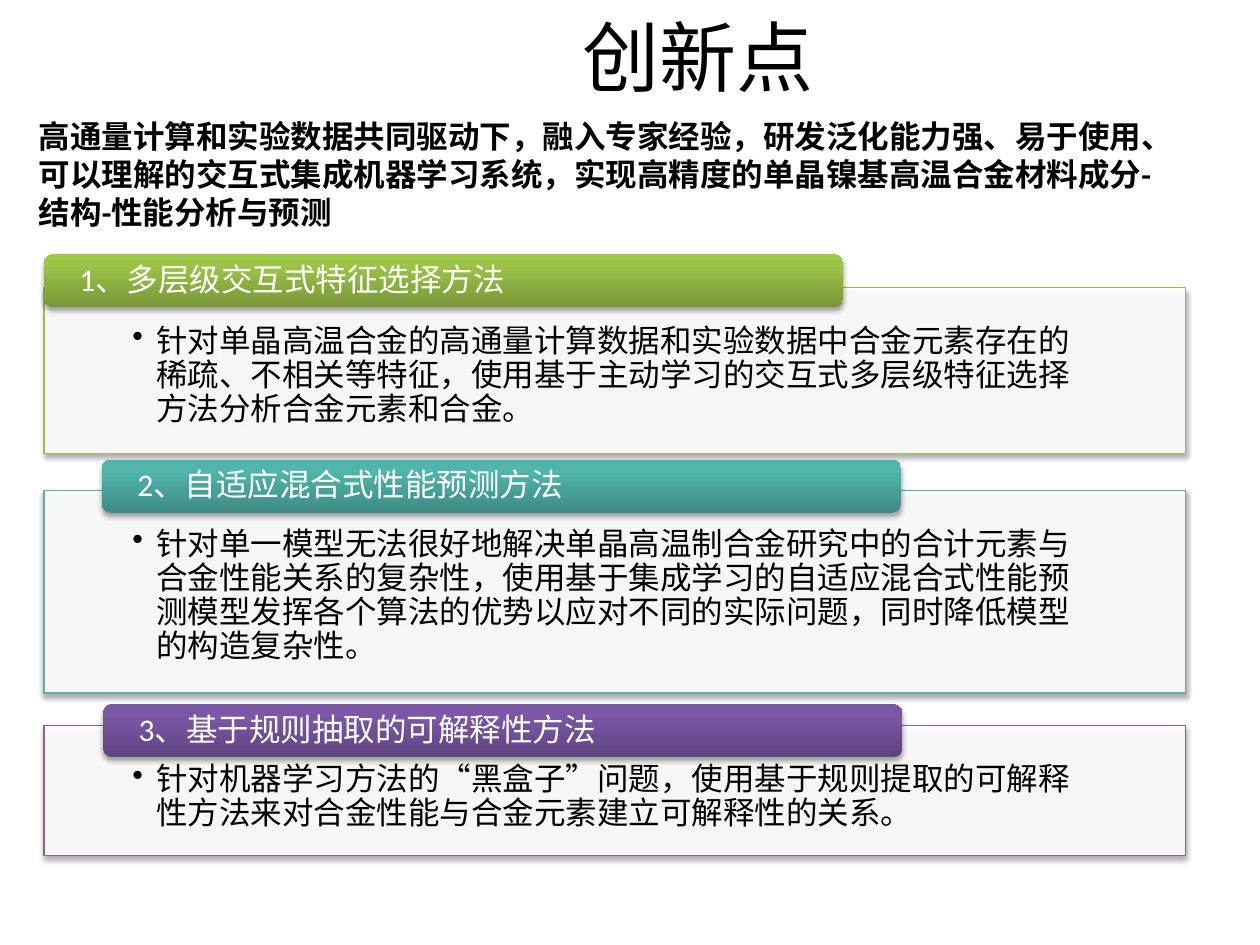
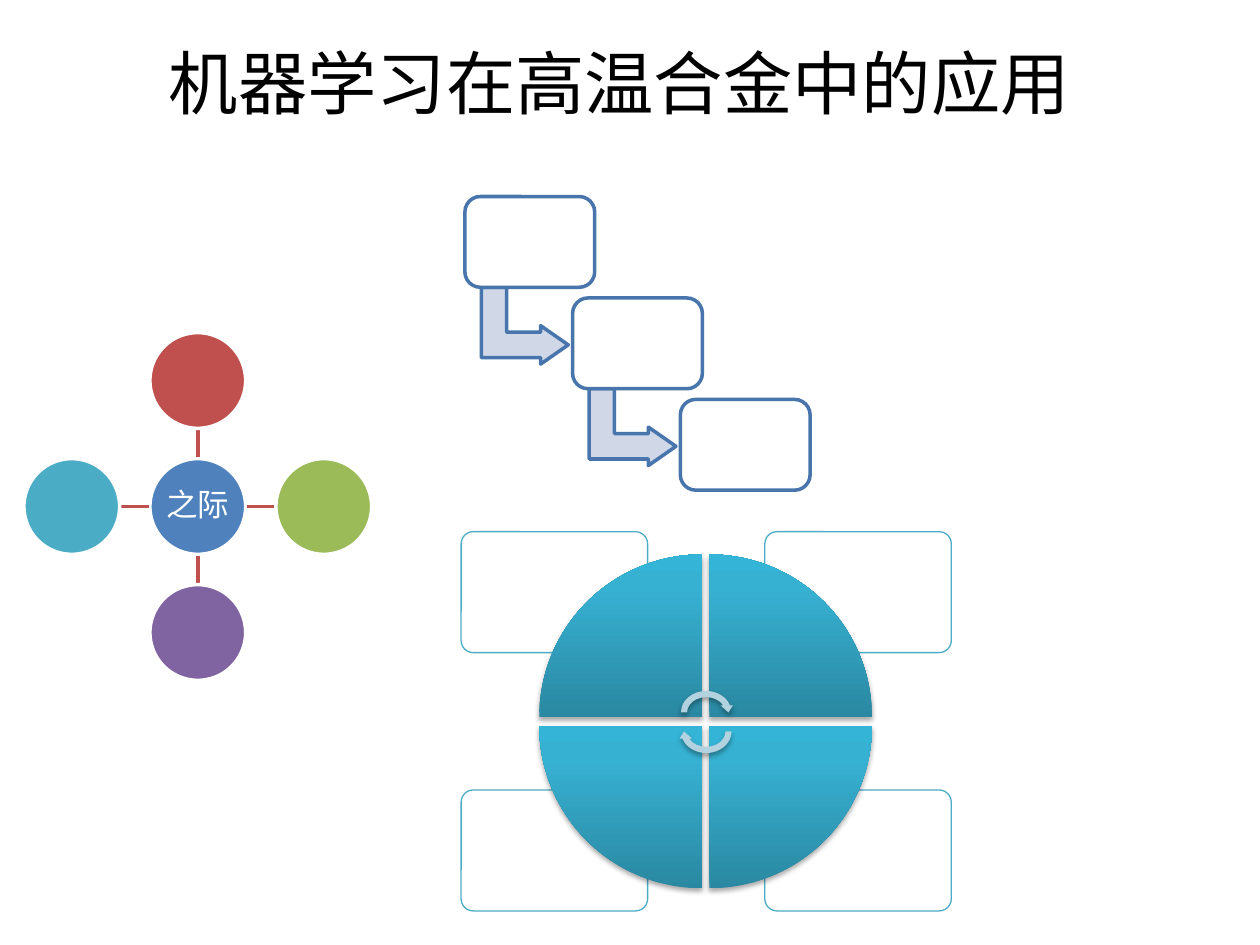
import pptx
import pptx.dml.color
import pptx.enum.shapes
import pptx.enum.text
import pptx.oxml.ns
import pptx.util
from lxml import etree

Inches = pptx.util.Inches
Pt = pptx.util.Pt
qn = pptx.oxml.ns.qn
SHAPE = pptx.enum.shapes.MSO_SHAPE
ALIGN = pptx.enum.text.PP_ALIGN
ANCHOR = pptx.enum.text.MSO_ANCHOR

# Shared look
FONT = "Calibri"
BLACK, WHITE = "000000", "FFFFFF"
BLUE, RED, GREEN, PURPLE, TEAL = "4F81BD", "C0504D", "9BBB59", "8064A2", "4BACC6"
STEP_EDGE, STEP_FILL, CYCLE_ARROW = "4875AC", "D0D8E8", "B2D2DF"
WEDGE_SHADES = ("2A88A2", "37B1D2", "34B4D6")
GRADIENT_STOPS = (0, 80, 100)
BODY_SIZE = 18

SUMMARY = ("高通量计算和实验数据共同驱动下，融入专家经验，研发泛化能力强、易于使用、"
           "可以理解的交互式集成机器学习系统，实现高精度的单晶镍基高温合金材料成分-结构-性能分析与预测")

# heading, heading left and top, panel top and height, edge, gradient, body
INNOVATIONS = [
    ("1、多层级交互式特征选择方法", 0.35, 2.02, 2.28, 1.32, GREEN,
     ("779737", "9BC348", "9DC746"),
     "针对单晶高温合金的高通量计算数据和实验数据中合金元素存在的稀疏、不相关等特征，"
     "使用基于主动学习的交互式多层级特征选择方法分析合金元素和合金。"),
    ("2、自适应混合式性能预测方法", 0.81, 3.65, 3.89, 1.61, "5EAFA6",
     ("3D8B83", "50B5AA", "4EB8AC"),
     "针对单一模型无法很好地解决单晶高温制合金研究中的合计元素与合金性能关系的复杂性，"
     "使用基于集成学习的自适应混合式性能预测模型发挥各个算法的优势以应对不同的实际问题，"
     "同时降低模型的构造复杂性。"),
    ("3、基于规则抽取的可解释性方法", 0.82, 5.59, 5.76, 1.03, PURPLE,
     ("5F4480", "7B58A6", "7C57A8"),
     "针对机器学习方法的“黑盒子”问题，使用基于规则提取的可解释性方法来对合金性能与"
     "合金元素建立可解释性的关系。"),
]


# Formatting helpers
def color(hex_code):
    return pptx.dml.color.RGBColor.from_string(hex_code)


def apply(target, values):
    for name, value in values.items():
        setattr(target, name, value)


def add_xml(parent, tag, **attributes):
    return etree.SubElement(parent, qn(tag), attributes)


def add_color_xml(parent, hex_code):
    return add_xml(parent, "a:srgbClr", val=hex_code)


def fill_gradient(shape, shades):
    shape.fill.gradient()
    shape.fill.gradient_angle = 90
    gradient = shape._element.spPr.find(qn("a:gradFill"))
    gradient.set("rotWithShape", "0")
    stops = gradient.find(qn("a:gsLst"))
    for stop in list(stops):
        stops.remove(stop)
    for position, shade in zip(GRADIENT_STOPS, shades):
        add_color_xml(add_xml(stops, "a:gs", pos=str(position * 1000)), shade)


def add_shadow(shape):
    effects = shape._element.spPr.find(qn("a:effectLst"))
    shadow = add_xml(effects, "a:outerShdw", blurRad=str(Pt(3.1)), dist=str(Pt(1.8)),
                     dir="5400000", rotWithShape="0")
    add_xml(add_color_xml(shadow, BLACK), "a:alpha", val="35000")


def write(shape, text, ink, size=BODY_SIZE, bold=False, align=ALIGN.LEFT,
          anchor=ANCHOR.MIDDLE, insets=(0.1, 0.05, 0.1, 0.05), spacing=None, bullet=False):
    frame = shape.text_frame
    left, top, right, bottom = map(Inches, insets)
    apply(frame, {"word_wrap": True, "vertical_anchor": anchor,
                  "margin_left": left, "margin_top": top,
                  "margin_right": right, "margin_bottom": bottom})
    para = frame.paragraphs[0]
    if bullet:
        properties = para._p.get_or_add_pPr()
        properties.set("marL", str(Inches(0.19)))
        properties.set("indent", str(-Inches(0.19)))
        add_xml(properties, "a:buChar", char="•")
    apply(para, {"alignment": align, "line_spacing": spacing})
    span = para.add_run()
    span.text = text
    apply(span.font, {"name": FONT, "size": Pt(size), "bold": bold})
    span.font.color.rgb = color(ink)


# Element builders
def add_text(page, at, text, **style):
    box = page.shapes.add_textbox(*map(Inches, at))
    write(box, text, BLACK, **style)
    return box


def add_title(page, at, text, size):
    add_text(page, at, text, size=size, align=ALIGN.CENTER)


def add_figure(page, kind, at, fill=None, shades=None, alpha=None, edge=None, width=0.75,
               shadow=False, rotation=0, adjustments=()):
    shape = page.shapes.add_shape(kind, *map(Inches, at))
    shape.shadow.inherit = False
    shape.rotation = rotation
    for index, value in enumerate(adjustments):
        shape.adjustments[index] = value
    if shades:
        fill_gradient(shape, shades)
    else:
        shape.fill.solid()
        shape.fill.fore_color.rgb = color(fill)
    if alpha:
        solid = shape._element.spPr.find(qn("a:solidFill"))
        add_xml(solid[0], "a:alpha", val=str(alpha * 1000))
    if edge:
        shape.line.color.rgb = color(edge)
        shape.line.width = Pt(width)
    else:
        shape.line.fill.background()
    if shadow:
        add_shadow(shape)
    return shape


def add_line(page, start, end, ink, width):
    line = page.shapes.add_connector(pptx.enum.shapes.MSO_CONNECTOR.STRAIGHT,
                                     *map(Inches, (*start, *end)))
    line.line.color.rgb = color(ink)
    line.line.width = Pt(width)
    add_xml(line._element.spPr, "a:effectLst")


def add_innovation(page, heading, left, top, panel_top, height, edge, shades, body):
    panel = add_figure(page, SHAPE.RECTANGLE, (0.35, panel_top, 9.06, height),
                       fill=WHITE, alpha=90, edge=edge, shadow=True)
    write(panel, body, BLACK, anchor=ANCHOR.TOP, insets=(0.7, 0.3, 0.7, 0.14),
          spacing=0.9, bullet=True)
    label = add_figure(page, SHAPE.ROUNDED_RECTANGLE, (left, top, 6.34, 0.42),
                       shades=shades, shadow=True)
    write(label, heading, WHITE, insets=(0.26, 0.02, 0.26, 0.02), spacing=0.9)


# Diagrams
def add_radial(page, center_x, center_y, hub_text):
    size, reach = 0.76, 1.0

    def add_circle(x, y, fill):
        return add_figure(page, SHAPE.OVAL, (x - size / 2, y - size / 2, size, size),
                          fill=fill, edge=WHITE, width=2)

    hub = add_circle(center_x, center_y, BLUE)
    write(hub, hub_text, WHITE, align=ALIGN.CENTER, insets=(0.01,) * 4, spacing=0.9)
    directions = [(0, -1, RED), (1, 0, GREEN), (0, 1, PURPLE), (-1, 0, TEAL)]
    for dx, dy, fill in directions:
        start, end = [(center_x + dx * radius, center_y + dy * radius)
                      for radius in (size / 2 + 0.01, reach - size / 2)]
        add_line(page, start, end, RED, 2)
        add_circle(center_x + dx * reach, center_y + dy * reach, fill)


def add_staircase(page, left, top, steps=3):
    for step in range(steps):
        x, y = left + 1.71 * step / 2, top + 1.61 * step / 2
        if step < steps - 1:
            add_figure(page, SHAPE.BENT_UP_ARROW, (x + 0.17, y + 0.68, 0.61, 0.69),
                       fill=STEP_FILL, edge=STEP_EDGE, width=2, rotation=90,
                       adjustments=(0.33, 0.25, 0.36))
        add_figure(page, SHAPE.ROUNDED_RECTANGLE, (x, y, 1.03, 0.72), fill=WHITE,
                   edge=STEP_EDGE, width=2, adjustments=(0.17,))


def add_cycle(page):
    for y in (6.27, 4.22):
        for x in (6.07, 3.66):
            add_figure(page, SHAPE.ROUNDED_RECTANGLE, (x, y, 1.48, 0.96), fill=WHITE,
                       alpha=90, edge=TEAL, adjustments=(0.1,))
    corners = [(4.28, 4.4), (5.63, 4.4), (5.63, 5.76), (4.28, 5.76)]
    for turn, (x, y) in enumerate(corners):
        add_figure(page, SHAPE.PIE_WEDGE, (x, y, 1.29, 1.29), shades=WEDGE_SHADES,
                   shadow=True, rotation=90 * turn)
    for y, rotation in ((5.46, 0), (5.61, 180)):
        add_figure(page, SHAPE.CIRCULAR_ARROW, (5.38, y, 0.45, 0.39), fill=CYCLE_ARROW,
                   shadow=True, rotation=rotation)


# Slides
def build_innovations(page):
    add_title(page, (1.04, 0.01, 9, 0.87), "创新点", 44)
    for innovation in INNOVATIONS:
        add_innovation(page, *innovation)
    add_text(page, (0.21, 0.88, 9.17, 1.01), SUMMARY, bold=True, anchor=ANCHOR.TOP)


def build_applications(page):
    add_title(page, (0.5, 0.3, 8.83, 0.69), "机器学习在高温合金中的应用", 39.6)
    add_radial(page, 1.57, 4.02, "之际")
    add_staircase(page, 3.69, 1.56)
    add_cycle(page)


def main():
    deck = pptx.Presentation()
    apply(deck, {"slide_width": Inches(10), "slide_height": Inches(7.5)})
    for build in (build_innovations, build_applications):
        build(deck.slides.add_slide(deck.slide_layouts[6]))
    deck.save("out.pptx")


if __name__ == "__main__":
    main()
